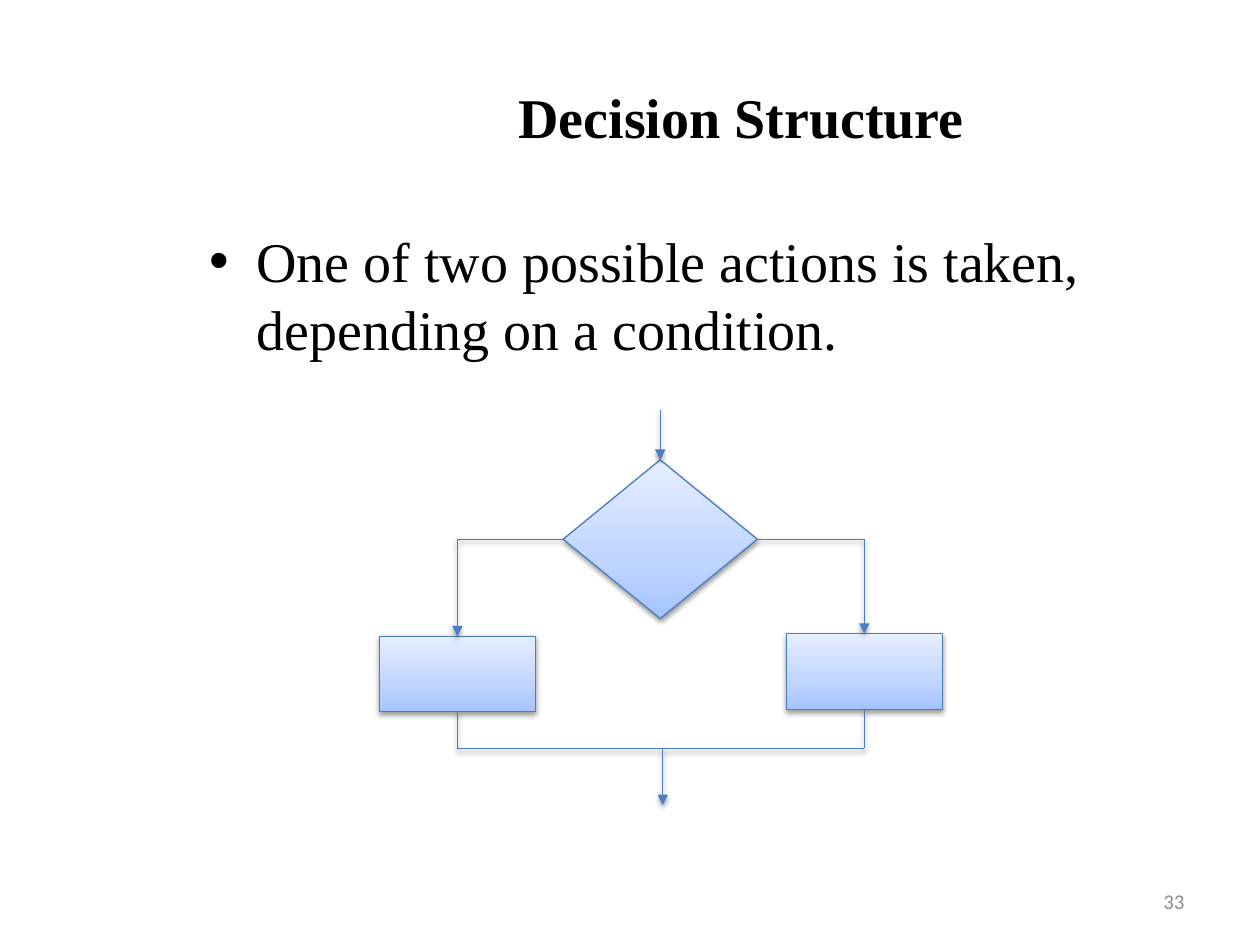
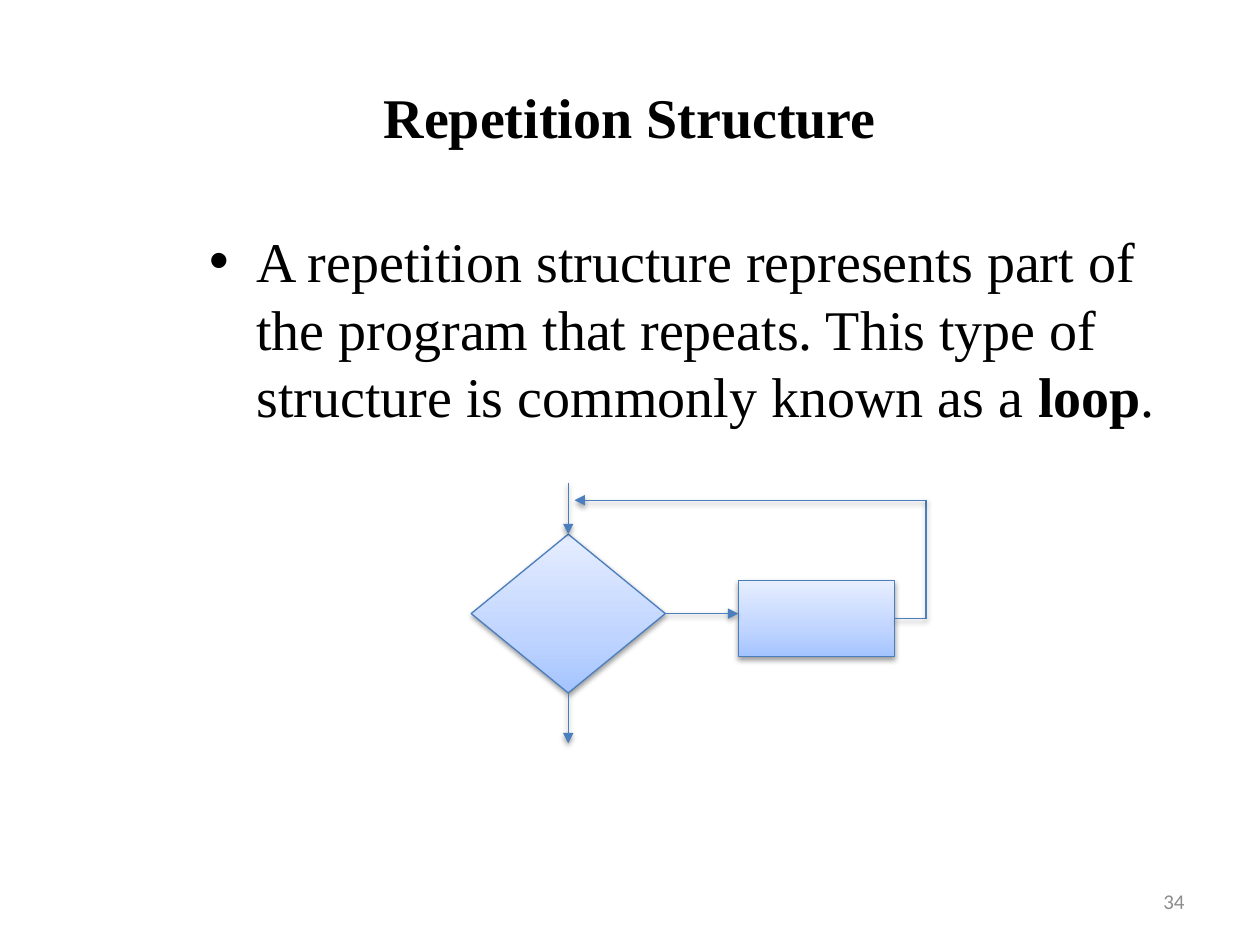
from copy import deepcopy
from typing import NamedTuple

from lxml import etree
from pptx import Presentation
from pptx.dml.color import RGBColor
from pptx.enum.shapes import MSO_CONNECTOR, MSO_SHAPE
from pptx.enum.text import MSO_ANCHOR, PP_ALIGN
from pptx.oxml.ns import qn
from pptx.util import Emu, Pt

PX_PER_INCH = 100
EMU_PER_PX = 914400 // PX_PER_INCH

DECISION = MSO_SHAPE.FLOWCHART_DECISION
ACTION = MSO_SHAPE.RECTANGLE
STRAIGHT = MSO_CONNECTOR.STRAIGHT
CENTER, LEFT, RIGHT = PP_ALIGN.CENTER, PP_ALIGN.LEFT, PP_ALIGN.RIGHT
MIDDLE, TOP = MSO_ANCHOR.MIDDLE, MSO_ANCHOR.TOP
TOP_SIDE, LEFT_SIDE, BOTTOM_SIDE, RIGHT_SIDE = range(4)

SERIF, SANS = "Times New Roman", "Calibri"
BLACK, GRAY, OUTLINE = "000000", "8C8C8C", "4B7EBC"
GRADIENT = ((0, "A4C4FF"), (0.35, "BFD4FF"), (1, "E6EEFF"))
NODE_SIZES = {DECISION: (154, 126), ACTION: (124, 60)}


class Box(NamedTuple):
    left: int
    top: int
    width: int
    height: int


class Node(NamedTuple):
    kind: MSO_SHAPE
    left: int
    top: int


class Point(NamedTuple):
    x: int
    y: int


class Joint(NamedTuple):
    """The middle of one side of a node."""
    node: str
    side: int


class Link(NamedTuple):
    start: Point | Joint
    end: Point | Joint
    arrow: bool = False


class Run(NamedTuple):
    text: str
    bold: bool = False


class Page(NamedTuple):
    number: int
    title: str
    title_box: Box
    body: list[Run]
    body_box: Box
    nodes: dict[str, Node]
    links: list[Link]


NUMBER_BOX = Box(717, 695, 233, 40)

PAGES = [
    Page(
        33, "Decision Structure", Box(227, 30, 723, 125),
        [Run("One of two possible actions is taken, depending on a condition.")],
        Box(156, 175, 820, 495),
        {
            "condition": Node(DECISION, 447, 365),
            "left action": Node(ACTION, 301, 505),
            "right action": Node(ACTION, 624, 503),
        },
        [
            Link(Point(524, 325), Joint("condition", TOP_SIDE), True),
            Link(Joint("condition", LEFT_SIDE), Point(363, 428)),
            Link(Point(363, 428), Joint("left action", TOP_SIDE), True),
            Link(Joint("condition", RIGHT_SIDE), Point(686, 428)),
            Link(Point(686, 428), Joint("right action", TOP_SIDE), True),
            Link(Joint("left action", BOTTOM_SIDE), Point(363, 594)),
            Link(Joint("right action", BOTTOM_SIDE), Point(686, 594)),
            Link(Point(686, 594), Point(363, 594)),
            Link(Point(526, 594), Point(526, 639), True),
        ],
    ),
    Page(
        34, "Repetition Structure", Box(50, 30, 900, 125),
        [
            Run("A repetition structure represents part of the program that repeats. "
                "This type of structure is commonly known as a"),
            Run(" loop", bold=True),
            Run("."),
        ],
        Box(156, 175, 794, 495),
        {
            "condition": Node(DECISION, 374, 424),
            "repeated action": Node(ACTION, 586, 461),
        },
        [
            Link(Point(451, 383), Joint("condition", TOP_SIDE), True),
            Link(Joint("condition", BOTTOM_SIDE), Point(451, 590), True),
            Link(Joint("condition", RIGHT_SIDE), Point(586, 487), True),
            Link(Joint("repeated action", RIGHT_SIDE), Point(735, 491)),
            Link(Point(735, 491), Point(735, 397)),
            Link(Point(735, 397), Point(456, 397), True),
        ],
    ),
]


def px(length: int) -> Emu:
    return Emu(length * EMU_PER_PX)


def color(value: str) -> RGBColor:
    return RGBColor.from_string(value)


def place(shape, box: Box) -> None:
    shape.left, shape.top, shape.width, shape.height = map(px, box)


def write_text(shape, runs: list[Run], *, size: int, font: str = SERIF,
               fill: str = BLACK, align=LEFT, anchor=TOP) -> None:
    frame = shape.text_frame
    frame.word_wrap = True
    frame.vertical_anchor = anchor
    paragraph = frame.paragraphs[0]
    paragraph.alignment = align
    paragraph.space_before = Pt(0)
    for item in runs:
        run = paragraph.add_run()
        run.text = item.text
        run.font.name = font
        run.font.size = Pt(size)
        run.font.bold = item.bold
        run.font.color.rgb = color(fill)


def style_outline(shape) -> None:
    """Give a shape or connector the thin line and the soft shadow below it."""
    shape.line.color.rgb = color(OUTLINE)
    shape.line.width = Pt(0.75)
    effects = etree.SubElement(shape.element.spPr, qn("a:effectLst"))
    shadow = etree.SubElement(
        effects, qn("a:outerShdw"), blurRad=str(Pt(3.1)), dist=str(Pt(1.6)),
        dir="5400000", rotWithShape="0")
    shade = etree.SubElement(shadow, qn("a:srgbClr"), val=BLACK)
    etree.SubElement(shade, qn("a:alpha"), val="38000")


def add_node(slide, node: Node):
    box = Box(node.left, node.top, *NODE_SIZES[node.kind])
    shape = slide.shapes.add_shape(node.kind, *map(px, box))
    shape.fill.gradient()
    shape.fill.gradient_angle = 90
    stop_list = shape.element.spPr.find(qn("a:gradFill")).find(qn("a:gsLst"))
    stop_list.insert(1, deepcopy(stop_list[0]))
    for stop, (position, value) in zip(shape.fill.gradient_stops, GRADIENT):
        stop.position = position
        stop.color.rgb = color(value)
    style_outline(shape)
    return shape


def locate(end: Point | Joint, nodes: dict[str, Node]) -> Point:
    if isinstance(end, Point):
        return end
    node = nodes[end.node]
    width, height = NODE_SIZES[node.kind]
    across, down = {
        TOP_SIDE: (width // 2, 0), LEFT_SIDE: (0, height // 2),
        BOTTOM_SIDE: (width // 2, height), RIGHT_SIDE: (width, height // 2),
    }[end.side]
    return Point(node.left + across, node.top + down)


def add_link(slide, link: Link, nodes: dict[str, Node], shapes: dict) -> None:
    start, end = locate(link.start, nodes), locate(link.end, nodes)
    connector = slide.shapes.add_connector(STRAIGHT, *map(px, start + end))
    if isinstance(link.start, Joint):
        connector.begin_connect(shapes[link.start.node], link.start.side)
    if isinstance(link.end, Joint):
        connector.end_connect(shapes[link.end.node], link.end.side)
    style_outline(connector)
    if link.arrow:
        line = connector.element.spPr.find(qn("a:ln"))
        etree.SubElement(line, qn("a:tailEnd"), type="triangle")


def add_page(presentation, page: Page) -> None:
    slide = presentation.slides.add_slide(presentation.slide_layouts[1])
    title, body = slide.placeholders
    place(title, page.title_box)
    write_text(title, [Run(page.title, bold=True)], size=32, align=CENTER, anchor=MIDDLE)
    place(body, page.body_box)
    write_text(body, page.body, size=32)
    number = slide.shapes.add_textbox(*map(px, NUMBER_BOX))
    write_text(number, [Run(str(page.number))], size=12, font=SANS, fill=GRAY,
               align=RIGHT, anchor=MIDDLE)
    shapes = {name: add_node(slide, node) for name, node in page.nodes.items()}
    for link in page.links:
        add_link(slide, link, page.nodes, shapes)


def main() -> None:
    presentation = Presentation()
    presentation.slide_width, presentation.slide_height = px(1000), px(750)
    for page in PAGES:
        add_page(presentation, page)
    presentation.save("out.pptx")


if __name__ == "__main__":
    main()
